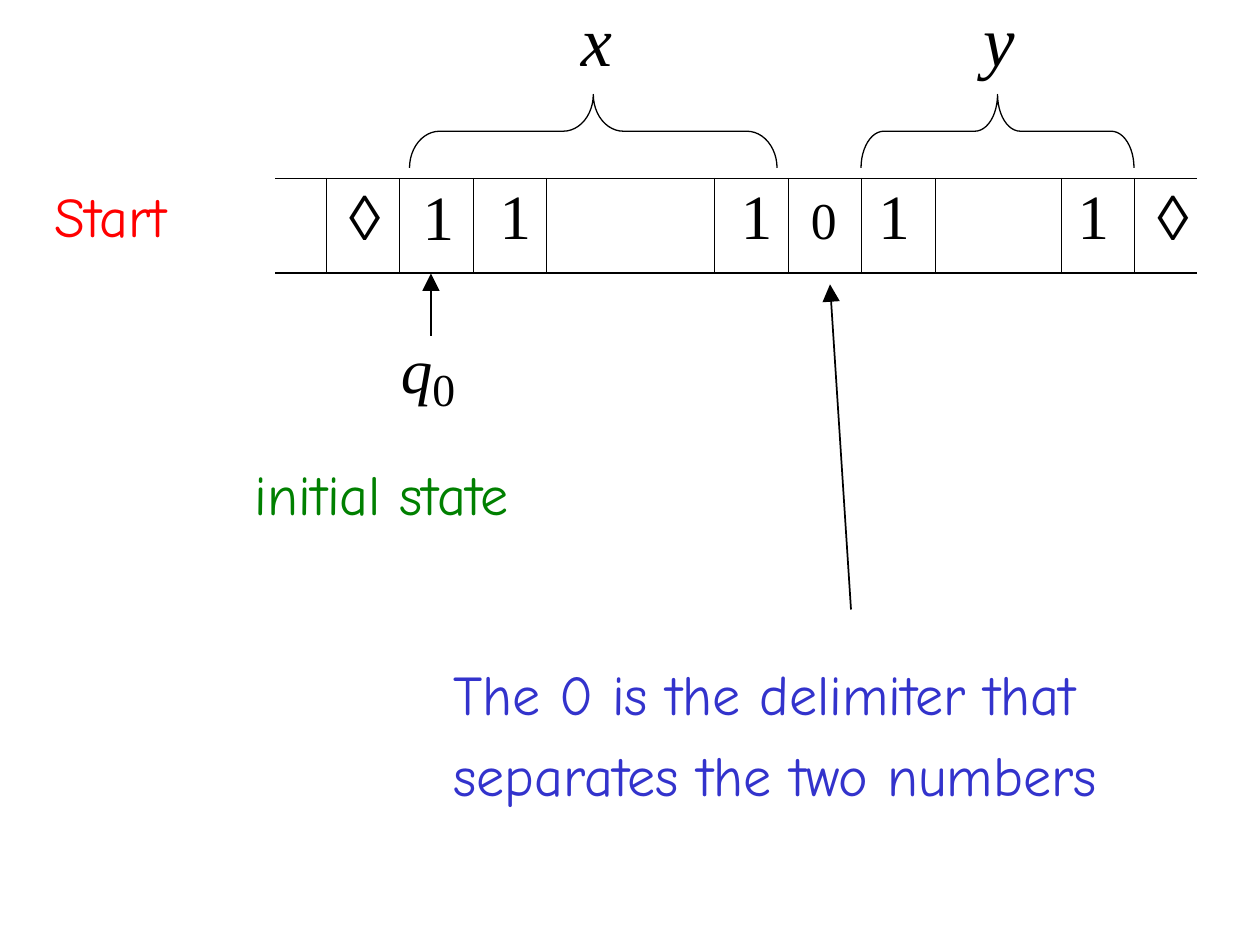
from dataclasses import dataclass

import pptx
import pptx.dml.color
import pptx.enum.shapes
import pptx.enum.text
import pptx.oxml
import pptx.oxml.ns
import pptx.util
from lxml import etree

Pt = pptx.util.Pt
qn = pptx.oxml.ns.qn

COLORS = {"ink": "000000", "start": "FF0000", "state": "008000", "note": "3333CC"}
SERIF, SANS, SYMBOL = "Times New Roman", "Comic Neue", "Arial"


@dataclass
class TextRun:
    text: str
    size: float
    font: str = SERIF
    color: str = "ink"
    italic: bool = False
    baseline: int = 0


@dataclass
class TapeCell:
    width: float
    text: str = ""
    indent: float = 0
    top: float = 3
    size: float = 36
    font: str = SERIF


@dataclass
class Line:
    indent: float
    before: float
    runs: list[TextRun]
    spacing: float = 1.0


@dataclass
class Brace:
    left: float
    width: float
    curve: float


@dataclass
class Arrow:
    start: tuple[float, float]
    end: tuple[float, float]


def rgb(name: str) -> pptx.dml.color.RGBColor:
    return pptx.dml.color.RGBColor.from_string(COLORS[name])


def add_run(paragraph, item: TextRun) -> None:
    run = paragraph.add_run()
    run.text = item.text
    run.font.size = Pt(item.size)
    run.font.name = item.font
    run.font.italic = item.italic
    run.font.color.rgb = rgb(item.color)
    if item.baseline:
        run.font._element.set("baseline", str(item.baseline))


def format_frame(frame, top: float) -> None:
    frame.word_wrap = True
    frame.auto_size = pptx.enum.text.MSO_AUTO_SIZE.NONE
    frame.vertical_anchor = pptx.enum.text.MSO_ANCHOR.TOP
    frame.margin_left = frame.margin_right = frame.margin_bottom = 0
    frame.margin_top = Pt(top)


def place(shape, left: float, top: float, width: float, height: float) -> None:
    shape.left, shape.top = Pt(left), Pt(top)
    shape.width, shape.height = Pt(width), Pt(height)


def write_label(shape, item: TextRun) -> None:
    format_frame(shape.text_frame, 1)
    paragraph = shape.text_frame.paragraphs[0]
    paragraph.alignment = pptx.enum.text.PP_ALIGN.LEFT
    add_run(paragraph, item)


def write_lines(shape, lines: list[Line]) -> None:
    frame = shape.text_frame
    format_frame(frame, 1.5)
    for index, line in enumerate(lines):
        paragraph = frame.add_paragraph() if index else frame.paragraphs[0]
        properties = paragraph._p.get_or_add_pPr()
        properties.set("marL", str(Pt(line.indent)))
        properties.set("indent", "0")
        etree.SubElement(properties, qn("a:buNone"))
        paragraph.space_before = Pt(line.before)
        paragraph.line_spacing = line.spacing
        for item in line.runs:
            add_run(paragraph, item)


def add_border(cell, side: str) -> None:
    properties = cell._tc.get_or_add_tcPr()
    border = etree.SubElement(properties, qn("a:ln" + side), w=str(Pt(0.75)))
    fill = etree.SubElement(border, qn("a:solidFill"))
    etree.SubElement(fill, qn("a:srgbClr"), val=COLORS["ink"])


def add_tape(slide, cells: list[TapeCell], left: float, top: float, height: float) -> None:
    total = sum(item.width for item in cells)
    table = slide.shapes.add_table(1, len(cells), Pt(left), Pt(top), Pt(total), Pt(height)).table
    table.first_row = table.horz_banding = False
    last = len(cells) - 1
    for index, item in enumerate(cells):
        table.columns[index].width = Pt(item.width)
        cell = table.cell(0, index)
        # The tape stays open at both ends
        sides = ("" if index == 0 else "L") + ("" if index == last else "R") + "TB"
        for side in sides:
            add_border(cell, side)
        cell.fill.background()
        cell.margin_left, cell.margin_top = Pt(item.indent), Pt(item.top)
        cell.margin_right = cell.margin_bottom = 0
        if item.text:
            add_run(cell.text_frame.paragraphs[0], TextRun(item.text, item.size, item.font))


def add_brace(slide, brace: Brace, top: float, depth: float) -> None:
    # A left brace turned a quarter, so that its tip points up
    left = brace.left + (brace.width - depth) / 2
    shape = slide.shapes.add_shape(
        pptx.enum.shapes.MSO_SHAPE.LEFT_BRACE,
        Pt(left), Pt(top + (depth - brace.width) / 2), Pt(depth), Pt(brace.width))
    shape.rotation = 90
    shape.adjustments[0] = brace.curve
    shape.shadow.inherit = False
    shape.fill.background()
    shape.line.color.rgb = rgb("ink")
    shape.line.width = Pt(0.75)


def add_arrow(slide, arrow: Arrow) -> None:
    points = [Pt(value) for value in (*arrow.start, *arrow.end)]
    connector = slide.shapes.add_connector(pptx.enum.shapes.MSO_CONNECTOR.STRAIGHT, *points)
    connector.line.color.rgb = rgb("ink")
    connector.line.width = Pt(1)
    etree.SubElement(connector.line._get_or_add_ln(), qn("a:tailEnd"),
                     type="triangle", w="lg", len="lg")
    etree.SubElement(connector._element.spPr, qn("a:effectLst"))


TAPE = [
    TapeCell(30), TapeCell(42, "◊", 13, font=SYMBOL), TapeCell(42, "1", 13, 3.5),
    TapeCell(42, "1", 15), TapeCell(96), TapeCell(42, "1", 15),
    TapeCell(42, "0", 13, 8.5, 29.5), TapeCell(42, "1", 9.5), TapeCell(72),
    TapeCell(42, "1", 9.5), TapeCell(36, "◊", 13, font=SYMBOL),
]
LINES = [
    Line(3, 0, [TextRun("Start", 32, SANS, "start")]),
    Line(201, 37.8, [TextRun("q", 36, italic=True), TextRun("0", 45, baseline=-17000)]),
    Line(117.5, 24.8, [TextRun("initial state", 32, SANS, "state")]),
    Line(231, 68, [TextRun("The 0 is the delimiter that separates the two numbers",
                           32, SANS, "note")], 1.21),
]
BRACES = [Brace(234, 210, 0.41), Brace(492, 156, 0.31)]
ARROWS = [Arrow((246.3, 192), (246.3, 156.3)), Arrow((486.3, 348.3), (474.3, 162.5))]


def main() -> None:
    presentation = pptx.Presentation()
    presentation.slide_width, presentation.slide_height = Pt(720), Pt(540)
    slide = presentation.slides.add_slide(presentation.slide_layouts[1])

    # Tape and head
    add_tape(slide, TAPE, 156.5, 102, 54)
    for arrow in ARROWS:
        add_arrow(slide, arrow)

    # Braces and the numbers they mark
    for brace in BRACES:
        add_brace(slide, brace, 54, 42)
    number_x = slide.shapes.add_textbox(Pt(332), Pt(-3), Pt(20), Pt(50))
    write_label(number_x, TextRun("x", 40, italic=True))
    place(slide.shapes.title, 562, -3.5, 22, 50)
    write_label(slide.shapes.title, TextRun("y", 40.5, italic=True))

    # Explanations
    body = slide.placeholders[1]
    place(body, 28, 102, 641, 351)
    write_lines(body, LINES)

    presentation.save("out.pptx")


if __name__ == "__main__":
    main()
